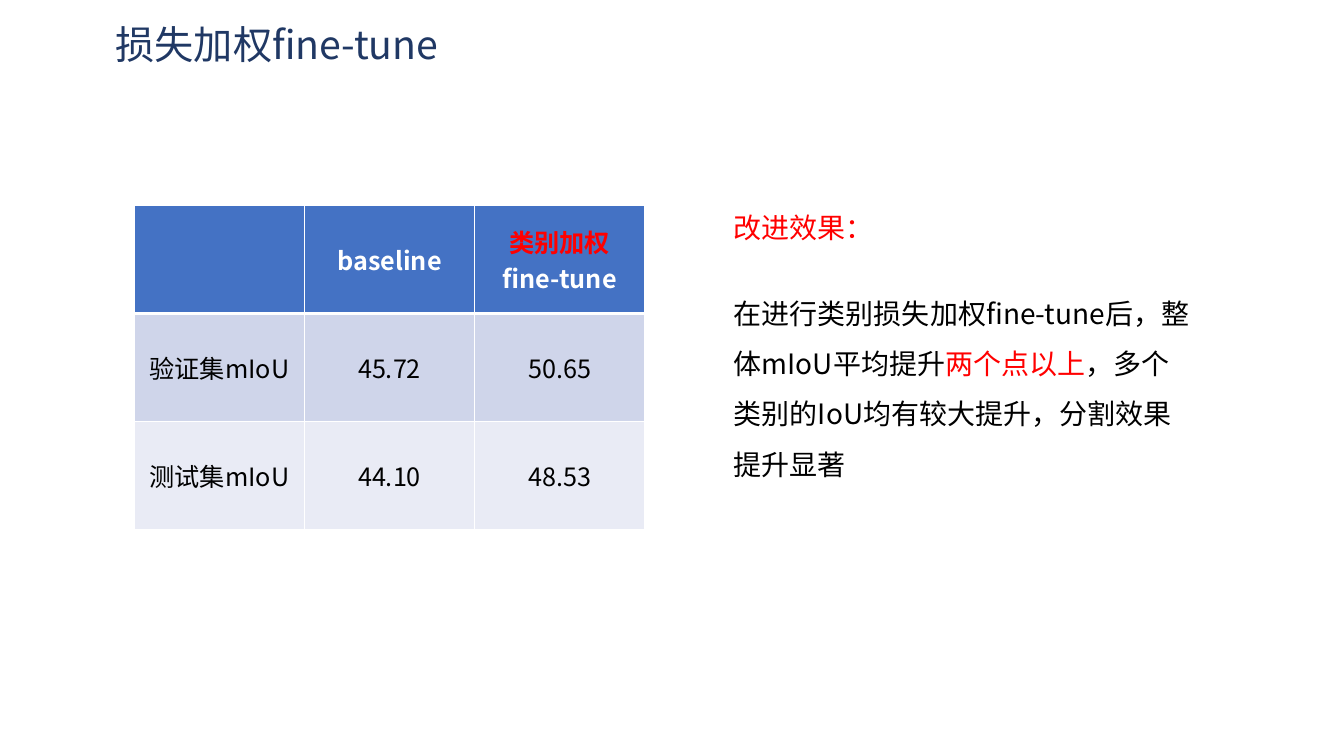
from lxml.etree import SubElement
from pptx import Presentation
from pptx.dml.color import RGBColor
from pptx.enum.text import MSO_ANCHOR, PP_ALIGN
from pptx.oxml.ns import qn
from pptx.util import Pt

FONT = "Noto Sans CJK SC"
NAVY, BLUE, RED = "203864", "4472C4", "FF0000"
WHITE, BLACK = "FFFFFF", "000000"
ROW_FILLS = [BLUE, "CFD5EA", "E9EBF5"]
SCORES = [
    [[], [("baseline", WHITE)], [("类别加权", RED), ("fine-tune", WHITE)]],
    [[("验证集mIoU", BLACK)], [("45.72", BLACK)], [("50.65", BLACK)]],
    [[("测试集mIoU", BLACK)], [("44.10", BLACK)], [("48.53", BLACK)]],
]


def color(hex_code):
    """Turn a hex string into a colour."""
    return RGBColor.from_string(hex_code)


def write(frame, runs, size=20, bold=False, align=PP_ALIGN.LEFT,
          anchor=MSO_ANCHOR.TOP, spacing=1.0):
    """Write (text, colour) runs as the one paragraph of a text frame."""
    frame.word_wrap = True
    frame.vertical_anchor = anchor
    paragraph = frame.paragraphs[0]
    paragraph.alignment = align
    paragraph.line_spacing = spacing
    for words, hex_code in runs:
        run = paragraph.add_run()
        run.text = words
        font = run.font
        font.name, font.size, font.bold = FONT, Pt(size), bold
        font.color.rgb = color(hex_code)
        SubElement(run._r.get_or_add_rPr(), qn("a:ea"), typeface=FONT)


def add_text(slide, left, top, width, height, runs, **style):
    """Place a text box and write its runs."""
    box = slide.shapes.add_textbox(Pt(left), Pt(top), Pt(width), Pt(height))
    write(box.text_frame, runs, **style)


def add_borders(cell, **widths):
    """Draw white cell borders, each side with its width in points."""
    properties = cell._tc.get_or_add_tcPr()
    for side, width in widths.items():
        line = SubElement(properties, qn(f"a:ln{side}"), w=str(Pt(width)))
        fill = SubElement(line, qn("a:solidFill"))
        SubElement(fill, qn("a:srgbClr"), val=WHITE)


def add_score_table(slide, left, top, width, height):
    """Fill the box with the table of mIoU scores."""
    rows, columns = len(SCORES), len(SCORES[0])
    table = slide.shapes.add_table(
        rows, columns, Pt(left), Pt(top), Pt(width), Pt(height)).table
    for column in table.columns:
        column.width = Pt(width / columns)
    for r, (row, row_fill) in enumerate(zip(SCORES, ROW_FILLS)):
        table.rows[r].height = Pt(height / rows)
        for c, runs in enumerate(row):
            cell = table.cell(r, c)
            add_borders(cell, L=1, R=1, T=3 if r == 1 else 1, B=3 if r == 0 else 1)
            cell.fill.solid()
            cell.fill.fore_color.rgb = color(row_fill)
            cell.vertical_anchor = MSO_ANCHOR.MIDDLE
            write(cell.text_frame, runs, size=18, bold=r == 0,
                  align=PP_ALIGN.CENTER, anchor=None)


def add_findings(slide, left, top, width):
    """Place the findings heading with its explanation below."""
    add_text(slide, left, top, 106, 31.5, [("改进效果：", RED)])
    add_text(slide, left, top + 49, width, 147, [
        ("在进行类别损失加权fine-tune后，整体mIoU平均提升", BLACK),
        ("两个点以上", RED),
        ("，多个类别的IoU均有较大提升，分割效果提升显著", BLACK),
    ], spacing=1.5)


def main():
    """Build and save the slide."""
    deck = Presentation()
    deck.slide_width, deck.slide_height = Pt(960), Pt(540)
    slide = deck.slides.add_slide(deck.slide_layouts[6])
    add_text(slide, 75.6, 18, 620.5, 31, [("损失加权fine-tune", NAVY)],
             size=28, anchor=MSO_ANCHOR.MIDDLE, spacing=0.9)
    add_score_table(slide, 96, 147, 364.5, 231)
    add_findings(slide, 517, 147, 345)
    deck.save("out.pptx")


if __name__ == "__main__":
    main()
